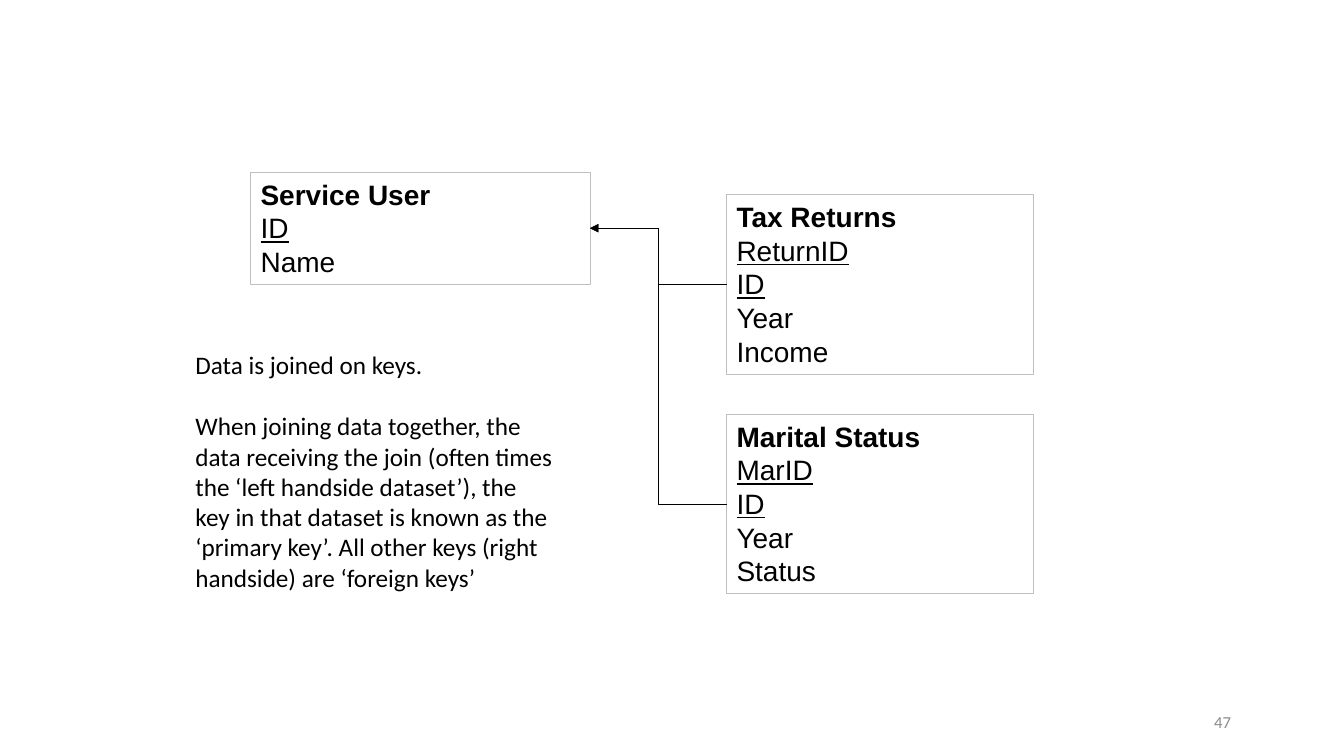
from lxml import etree
from pptx import Presentation
from pptx.dml.color import RGBColor
from pptx.enum.shapes import MSO_CONNECTOR, MSO_SHAPE
from pptx.enum.text import MSO_ANCHOR, MSO_AUTO_SIZE, PP_ALIGN
from pptx.oxml.ns import qn
from pptx.util import Pt

ELBOW = MSO_CONNECTOR.ELBOW
RECTANGLE = MSO_SHAPE.RECTANGLE
TOP, MIDDLE = MSO_ANCHOR.TOP, MSO_ANCHOR.MIDDLE
LEFT, RIGHT = PP_ALIGN.LEFT, PP_ALIGN.RIGHT
GROW, FIXED = MSO_AUTO_SIZE.SHAPE_TO_FIT_TEXT, MSO_AUTO_SIZE.NONE
LEFT_SITE, RIGHT_SITE = 1, 3


def color(hex_string):
    return RGBColor.from_string(hex_string)


class KeyDiagram:
    ENTITY_FONT, NOTE_FONT = "Arial", "Calibri"
    INK, BORDER, MUTED = "000000", "BFBFBF", "8C8C8C"

    def __init__(self, slide):
        self.shapes = slide.shapes

    def add_run(self, paragraph, text, font, size, ink, bold=False, underline=False):
        run = paragraph.add_run()
        run.text = text
        run.font.name = font
        run.font.size = Pt(size)
        run.font.color.rgb = color(ink)
        run.font.bold = bold
        run.font.underline = underline

    def entity(self, left, top, width, height, title, keys, fields):
        """Draw a table box: bold title, underlined keys, plain fields."""
        box = self.shapes.add_shape(RECTANGLE, Pt(left), Pt(top), Pt(width), Pt(height))
        box.shadow.inherit = False
        box.fill.background()
        box.line.color.rgb = color(self.BORDER)
        box.line.width = Pt(0.75)
        frame = box.text_frame
        frame.word_wrap = True
        frame.auto_size = GROW
        frame.vertical_anchor = TOP
        for index, text in enumerate([title, *keys, *fields]):
            paragraph = frame.add_paragraph() if index else frame.paragraphs[0]
            paragraph.alignment = LEFT
            self.add_run(paragraph, text, self.ENTITY_FONT, 20, self.INK,
                         bold=index == 0, underline=1 <= index <= len(keys))
        return box

    def note(self, left, top, width, height, paragraphs, size=18, ink=INK,
             align=LEFT, anchor=TOP, auto_size=GROW, gap=0):
        frame = self.shapes.add_textbox(Pt(left), Pt(top), Pt(width), Pt(height)).text_frame
        frame.word_wrap = True
        frame.auto_size = auto_size
        frame.vertical_anchor = anchor
        for index, text in enumerate(paragraphs):
            paragraph = frame.add_paragraph() if index else frame.paragraphs[0]
            paragraph.alignment = align
            paragraph.space_before = Pt(gap if index else 0)
            self.add_run(paragraph, text, self.NOTE_FONT, size, ink)

    def join(self, foreign, primary):
        """Draw an elbow arrow from the foreign table to the primary one."""
        arrow = self.shapes.add_connector(ELBOW, 0, 0, 0, 0)
        arrow.begin_connect(foreign, LEFT_SITE)
        arrow.end_connect(primary, RIGHT_SITE)
        arrow.line.color.rgb = color(self.INK)
        arrow.line.width = Pt(0.5)
        properties = arrow.element.spPr
        etree.SubElement(properties.find(qn("a:ln")), qn("a:tailEnd"), type="triangle")
        etree.SubElement(properties, qn("a:effectLst"))


def main():
    presentation = Presentation()
    presentation.slide_width, presentation.slide_height = Pt(960), Pt(540)
    diagram = KeyDiagram(presentation.slides.add_slide(presentation.slide_layouts[6]))

    diagram.note(670.5, 501.5, 216, 28.8, ["47"], size=12, ink=diagram.MUTED,
                 align=RIGHT, anchor=MIDDLE, auto_size=FIXED)

    service_user = diagram.entity(179, 123, 242.5, 80, "Service User", ["ID"], ["Name"])
    foreign_tables = [
        ("Tax Returns", ["ReturnID", "ID"], ["Year", "Income"]),
        ("Marital Status", ["MarID", "ID"], ["Year", "Status"]),
    ]
    for row, (title, keys, fields) in enumerate(foreign_tables):
        table = diagram.entity(519, 139 + 157 * row, 219.5, 128.2, title, keys, fields)
        diagram.join(table, service_user)

    diagram.note(132.5, 246.2, 270, 225.4, [
        "Data is joined on keys.",
        "When joining data together, the data receiving the join (often times the "
        "‘left handside dataset’), the key in that dataset is known as the "
        "‘primary key’. All other keys (right handside) are ‘foreign keys’",
    ], gap=22)

    presentation.save("out.pptx")


if __name__ == "__main__":
    main()
